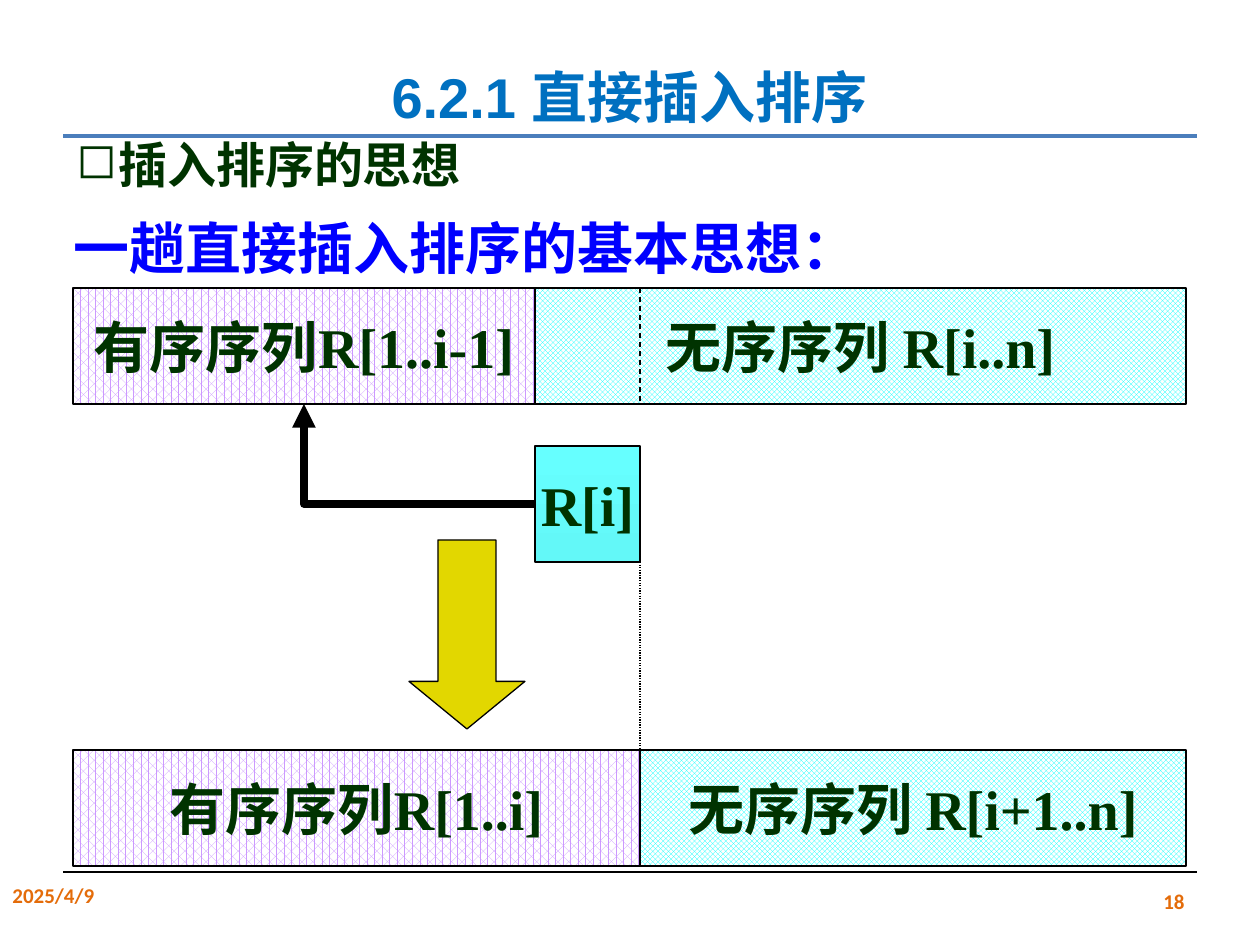
import pptx
import pptx.dml.color
import pptx.enum.dml
import pptx.enum.shapes
import pptx.enum.text
import pptx.oxml.ns
import pptx.util
from lxml import etree

Align = pptx.enum.text.PP_ALIGN
Anchor = pptx.enum.text.MSO_ANCHOR
Dash = pptx.enum.dml.MSO_LINE
Pattern = pptx.enum.dml.MSO_PATTERN
Preset = pptx.enum.shapes.MSO_SHAPE
Connector = pptx.enum.shapes.MSO_CONNECTOR
qn = pptx.oxml.ns.qn

SERIF = "Times New Roman"
GREEN = "003300"
ORANGE = "E46C0A"
BLACK = "000000"
BAR_HEIGHT = 116


def emu(px):
    """Turn px into EMU at 126 px to the inch."""
    return pptx.util.Emu(round(px * 914400 / 126))


def color(value):
    """Return the colour for a hex string."""
    return pptx.dml.color.RGBColor.from_string(value)


def write(shape, text, size, font, hex_color, align=Align.LEFT, anchor=Anchor.TOP, wrap=True):
    """Write one bold line of text into a shape and return its paragraph."""
    frame = shape.text_frame
    frame.word_wrap = wrap
    frame.vertical_anchor = anchor
    paragraph = frame.paragraphs[0]
    paragraph.alignment = align
    run = paragraph.add_run()
    run.text = text
    run.font.size = pptx.util.Pt(size)
    run.font.name = font
    run.font.bold = True
    run.font.color.rgb = color(hex_color)
    return paragraph


def add_text(slide, box, *text_style, **layout):
    """Add a text box and return its paragraph."""
    shape = slide.shapes.add_textbox(*map(emu, box))
    return write(shape, *text_style, **layout)


def add_line(slide, start, end, width=0.75, hex_color=BLACK, dash=None, kind=Connector.STRAIGHT):
    """Add a connector without shadow."""
    line = slide.shapes.add_connector(kind, *map(emu, start + end))
    line.line.width = pptx.util.Pt(width)
    line.line.color.rgb = color(hex_color)
    if dash is not None:
        line.line.dash_style = dash
    etree.SubElement(line._element.spPr, qn("a:effectLst"))
    return line


def add_block(slide, box, preset=Preset.RECTANGLE):
    """Add a thinly outlined shape without shadow."""
    shape = slide.shapes.add_shape(preset, *map(emu, box))
    shape.shadow.inherit = False
    shape.line.color.rgb = color(BLACK)
    shape.line.width = pptx.util.Pt(0.75)
    return shape


def label(shape, text):
    """Centre a sequence label in a shape."""
    write(shape, text, 32, SERIF, GREEN, Align.CENTER, Anchor.MIDDLE, wrap=False)


def add_sequence_bar(slide, box, split, sorted_text, unsorted_text):
    """Add a bar split into sorted and unsorted parts and return the sorted one."""
    left, top, width, height = box
    parts = (
        (left, split, sorted_text, Pattern.PERCENT_60, "CC99FF"),
        (left + split, width - split, unsorted_text, Pattern.TRELLIS, "00FFFF"),
    )
    shapes = []
    for part_left, part_width, text, pattern, foreground in parts:
        shape = add_block(slide, (part_left, top, part_width, height))
        shape.fill.patterned()
        shape.fill.pattern = pattern
        shape.fill.fore_color.rgb = color(foreground)
        shape.fill.back_color.rgb = color("FFFFFF")
        label(shape, text)
        shapes.append(shape)
    return shapes[0]


def add_element(slide, box):
    """Add the gradient square for the element being inserted."""
    shape = add_block(slide, box)
    shape.fill.gradient()
    shape.fill.gradient_angle = 270
    for stop, value in zip(shape.fill.gradient_stops, ("66FFFF", "63F8F8")):
        stop.color.rgb = color(value)
    label(shape, "R[i]")
    return shape


def add_insert_arrow(slide, element, target):
    """Join the element to the sorted part with an elbow arrow."""
    arrow = add_line(slide, (535, 504), (304, 404), width=4.5, kind=Connector.ELBOW)
    arrow.begin_connect(element, 1)
    arrow.end_connect(target, 2)
    arrow._element.spPr.find(qn("a:prstGeom")).set("prst", "bentConnector2")
    etree.SubElement(arrow.line._get_or_add_ln(), qn("a:tailEnd"), type="triangle")


def add_diagram(slide, box):
    """Draw one insertion pass, from the bar before to the bar after."""
    left, top, width, height = box
    split, cell = 462, 105
    boundary = left + split + cell
    element_top = top + 158
    after_top = top + height - BAR_HEIGHT
    before = add_sequence_bar(slide, (left, top, width, BAR_HEIGHT), split,
                              "有序序列R[1..i-1]", "无序序列 R[i..n]")
    add_sequence_bar(slide, (left, after_top, width, BAR_HEIGHT), split + cell,
                     "有序序列R[1..i]", "无序序列 R[i+1..n]")
    element = add_element(slide, (left + split, element_top, cell, BAR_HEIGHT))
    add_insert_arrow(slide, element, before)
    down = add_block(slide, (left + 336, top + 252, 116, 189), Preset.DOWN_ARROW)
    down.adjustments[0] = 0.5
    down.adjustments[1] = 0.41
    down.fill.solid()
    down.fill.fore_color.rgb = color("E2D700")
    add_line(slide, (boundary, top), (boundary, top + BAR_HEIGHT), dash=Dash.DASH)
    add_line(slide, (boundary, element_top + BAR_HEIGHT), (boundary, after_top),
             dash=Dash.ROUND_DOT)


def add_header(slide, box):
    """Add the title, its rule and the two headings."""
    left, top, width, _ = box
    add_line(slide, (left, top + 136), (left + width, top + 136), 2.75, "4B7EBC")
    title = add_text(slide, (left, top, width, 158), "6.2.1 直接插入排序", 32, "Arial",
                     "0070C0", align=Align.CENTER, anchor=Anchor.MIDDLE)
    title.line_spacing = 1.5
    add_text(slide, (left - 2, top + 207, 820, 81), "一趟直接插入排序的基本思想：",
             32, SERIF, "0000FF")
    topic = add_text(slide, (left + 1, top + 128, 466, 72), "插入排序的思想", 28, SERIF, GREEN)
    properties = topic._p.get_or_add_pPr()
    properties.set("marL", str(emu(42)))
    properties.set("indent", str(-emu(42)))
    etree.SubElement(properties, qn("a:buChar"), char="◻")


def add_footer(slide, box):
    """Add the footer rule, date and slide number."""
    left, top, width, _ = box
    add_line(slide, (left, top), (left + width, top))
    add_text(slide, (left - 63, top + 4, 294, 50), "2025/4/9", 12, "Calibri", ORANGE)
    add_text(slide, (left + width - 294, top + 4, 294, 50), "18", 12, "Calibri", ORANGE,
             align=Align.RIGHT, anchor=Anchor.MIDDLE)


def main():
    """Build and save the slide."""
    presentation = pptx.Presentation()
    presentation.slide_width = emu(1260)
    presentation.slide_height = emu(945)
    slide = presentation.slides.add_slide(presentation.slide_layouts[6])
    add_header(slide, (63, 0, 1134, 288))
    add_diagram(slide, (73, 288, 1113, 578))
    add_footer(slide, (63, 872, 1134, 73))
    presentation.save("out.pptx")


if __name__ == "__main__":
    main()
